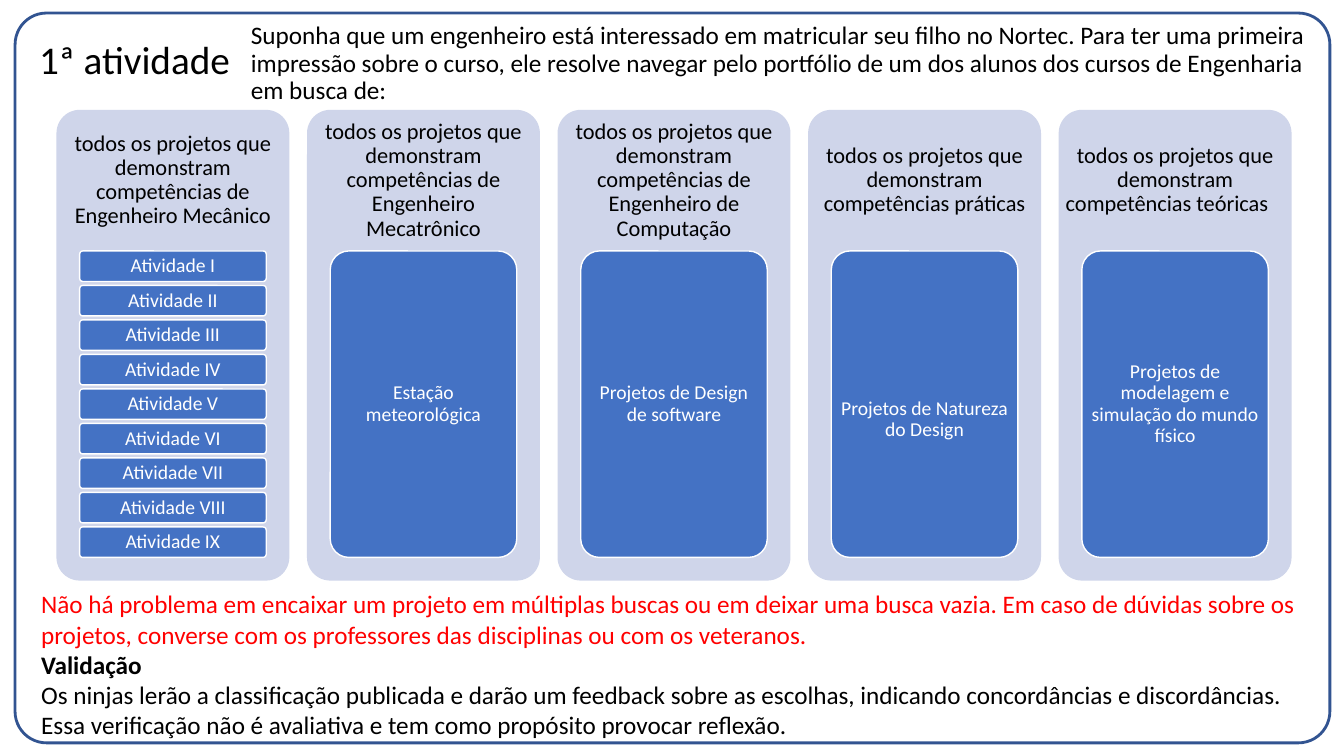
from pptx import Presentation
from pptx.dml.color import RGBColor
from pptx.enum.shapes import MSO_SHAPE
from pptx.enum.text import MSO_ANCHOR, PP_ALIGN
from pptx.util import Inches, Pt

FONT = "Calibri"
BLACK = RGBColor(0x00, 0x00, 0x00)
WHITE = RGBColor(0xFF, 0xFF, 0xFF)
RED = RGBColor(0xFF, 0x00, 0x00)
NAVY = RGBColor(0x32, 0x54, 0x91)
BLUE = RGBColor(0x44, 0x72, 0xC4)
PALE_BLUE = RGBColor(0xCF, 0xD5, 0xEA)

# Lengths in inches
COLUMNS_LEFT, COLUMNS_RIGHT = 0.56, 12.81
COLUMN_TOP, COLUMN_WIDTH, COLUMN_HEIGHT = 1.09, 2.31, 4.67
HEADING_HEIGHT = 1.4
ITEM_INDENT, ITEM_WIDTH, ITEM_GAP = 0.23, 1.85, 0.04
ITEMS_HEIGHT = 3.04

NUMERALS = ["I", "II", "III", "IV", "V", "VI", "VII", "VIII", "IX"]
COLUMNS = [
    ("todos os projetos que demonstram competências de Engenheiro Mecânico",
     [f"Atividade {numeral}" for numeral in NUMERALS], 0),
    ("todos os projetos que demonstram competências de Engenheiro Mecatrônico",
     ["Estação meteorológica"], 0),
    ("todos os projetos que demonstram competências de Engenheiro de Computação",
     ["Projetos de Design de software"], 0),
    ("todos os projetos que demonstram competências práticas",
     ["Projetos de Natureza do Design"], 0.3),
    ("todos os projetos que demonstram competências teóricas\t",
     ["Projetos de modelagem e simulação do mundo físico"], 0),
]
INTRODUCTION = (
    "Suponha que um engenheiro está interessado em matricular seu filho no Nortec. "
    "Para ter uma primeira impressão sobre o curso, ele resolve navegar pelo portfólio "
    "de um dos alunos dos cursos de Engenharia em busca de:"
)
ADVICE = (
    "Não há problema em encaixar um projeto em múltiplas buscas ou em deixar uma busca "
    "vazia. Em caso de dúvidas sobre os projetos, converse com os professores das "
    "disciplinas ou com os veteranos."
)
VALIDATION = (
    "Os ninjas lerão a classificação publicada e darão um feedback sobre as escolhas, "
    "indicando concordâncias e discordâncias. Essa verificação não é avaliativa e tem "
    "como propósito provocar reflexão."
)


def write_text(paragraph, text, size=18, color=BLACK, bold=False,
               align=PP_ALIGN.LEFT, line_spacing=0.9):
    paragraph.alignment = align
    paragraph.line_spacing = line_spacing
    run = paragraph.add_run()
    run.text = text
    run.font.name = FONT
    run.font.size = Pt(size)
    run.font.bold = bold
    run.font.color.rgb = color


def set_frame(shape, anchor=MSO_ANCHOR.TOP, insets=(0.1, 0.05, 0.1, 0.05), wrap=True):
    """Set the text frame's layout; insets are left, top, right, bottom."""
    frame = shape.text_frame
    frame.word_wrap = wrap
    frame.vertical_anchor = anchor
    (frame.margin_left, frame.margin_top,
     frame.margin_right, frame.margin_bottom) = map(Inches, insets)
    return frame


def add_text_box(slide, left, top, width, height, **layout):
    box = slide.shapes.add_textbox(Inches(left), Inches(top), Inches(width), Inches(height))
    return set_frame(box, **layout)


def add_rounded_box(slide, left, top, width, height, fill=None, line=None,
                    line_width=1, corner=0.1):
    shape = slide.shapes.add_shape(
        MSO_SHAPE.ROUNDED_RECTANGLE,
        Inches(left), Inches(top), Inches(width), Inches(height))
    shape.shadow.inherit = False
    shape.adjustments[0] = corner
    if fill is None:
        shape.fill.background()
    else:
        shape.fill.solid()
        shape.fill.fore_color.rgb = fill
    if line is None:
        shape.line.fill.background()
    else:
        shape.line.color.rgb = line
        shape.line.width = Pt(line_width)
    return shape


def add_column(slide, left, heading, items, text_drop):
    """Add a panel with its heading and items; text_drop is extra space above item text."""
    add_rounded_box(slide, left, COLUMN_TOP, COLUMN_WIDTH, COLUMN_HEIGHT, fill=PALE_BLUE)
    frame = add_text_box(slide, left, COLUMN_TOP, COLUMN_WIDTH, HEADING_HEIGHT,
                         anchor=MSO_ANCHOR.MIDDLE, insets=(0.07, 0.07, 0.07, 0.07))
    write_text(frame.paragraphs[0], heading, size=16, align=PP_ALIGN.CENTER)

    item_height = (ITEMS_HEIGHT - ITEM_GAP * (len(items) - 1)) / len(items)
    for index, item in enumerate(items):
        top = COLUMN_TOP + HEADING_HEIGHT + index * (item_height + ITEM_GAP)
        box = add_rounded_box(slide, left + ITEM_INDENT, top, ITEM_WIDTH, item_height,
                              fill=BLUE, line=WHITE)
        frame = set_frame(box, anchor=MSO_ANCHOR.MIDDLE,
                          insets=(0.04, 0.03 + text_drop, 0.04, 0.03))
        write_text(frame.paragraphs[0], item, size=14, color=WHITE, align=PP_ALIGN.CENTER)


def add_header(slide):
    title = add_text_box(slide, 0.29, 0.2, 2.1, 0.83, anchor=MSO_ANCHOR.MIDDLE, wrap=False)
    write_text(title.paragraphs[0], "1ª atividade", size=28)
    introduction = add_text_box(slide, 2.39, 0.18, 10.78, 0.9)
    write_text(introduction.paragraphs[0], INTRODUCTION)


def add_footer(slide):
    frame = add_text_box(slide, 0.31, 5.79, 12.86, 1.62)
    write_text(frame.paragraphs[0], ADVICE, color=RED, line_spacing=1.0)
    write_text(frame.add_paragraph(), "Validação", bold=True, line_spacing=1.0)
    write_text(frame.add_paragraph(), VALIDATION, line_spacing=1.0)


def main():
    presentation = Presentation()
    presentation.slide_width = Inches(13.33)
    presentation.slide_height = Inches(7.5)
    slide = presentation.slides.add_slide(presentation.slide_layouts[6])

    add_rounded_box(slide, 0.15, 0.13, 13.04, 7.24, line=NAVY, line_width=2, corner=0.043)
    add_header(slide)
    pitch = (COLUMNS_RIGHT - COLUMNS_LEFT - COLUMN_WIDTH) / (len(COLUMNS) - 1)
    for index, (heading, items, text_drop) in enumerate(COLUMNS):
        add_column(slide, COLUMNS_LEFT + index * pitch, heading, items, text_drop)
    add_footer(slide)

    presentation.save("out.pptx")


if __name__ == "__main__":
    main()
